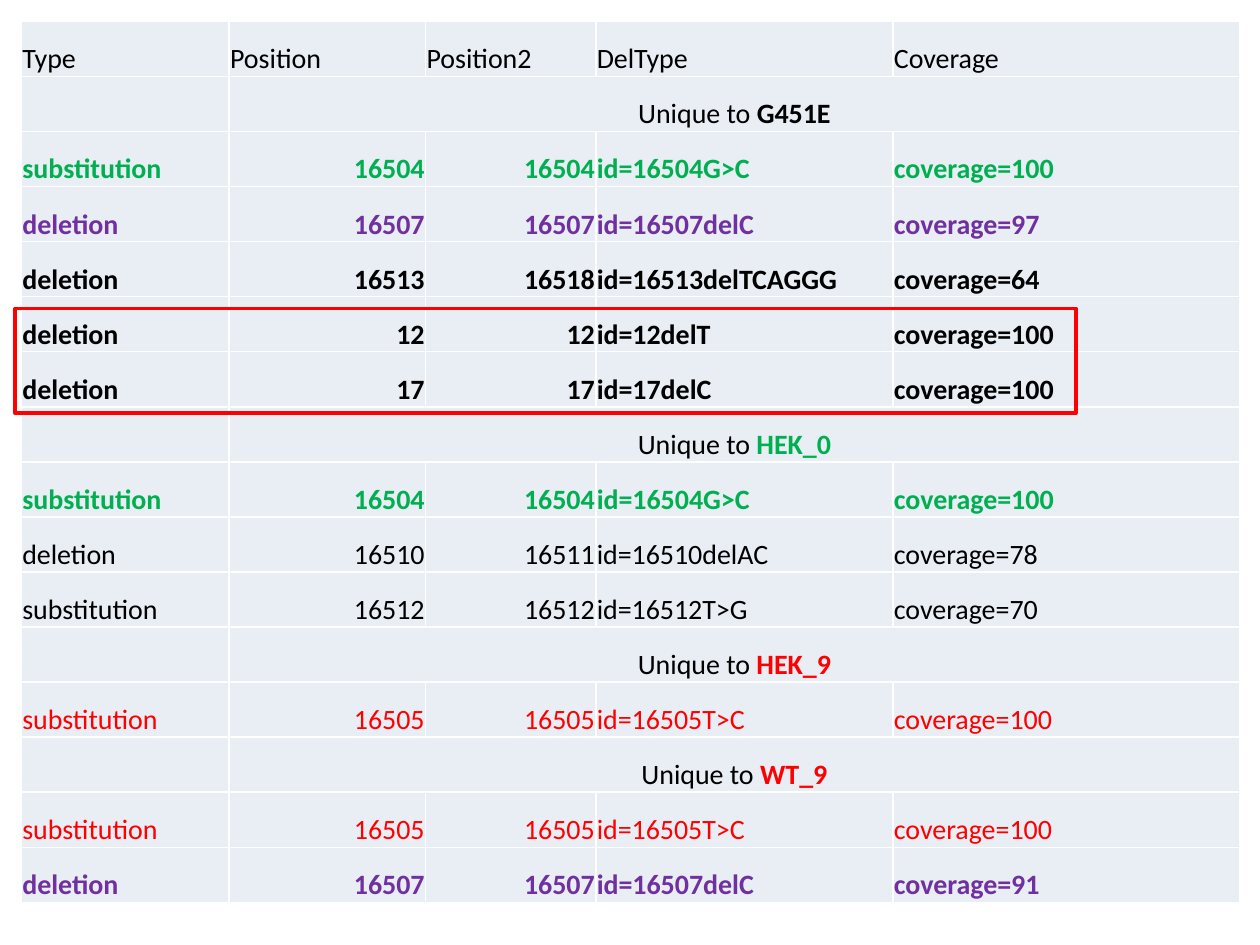
"""Build a slide with a table of unique sequence variants per sample."""
from pptx import Presentation
from pptx.dml.color import RGBColor
from pptx.enum.shapes import MSO_SHAPE
from pptx.enum.text import MSO_ANCHOR, PP_ALIGN
from pptx.util import Cm, Pt

BLACK = RGBColor(0x00, 0x00, 0x00)
GREEN = RGBColor(0x00, 0xB0, 0x50)
PURPLE = RGBColor(0x70, 0x30, 0xA0)
RED = RGBColor(0xFF, 0x00, 0x00)
PALE_BLUE = RGBColor(0xE9, 0xED, 0xF4)

HEADERS = ("Type", "Position", "Position2", "DelType", "Coverage")
COLUMN_WIDTHS = (4.19, 3.96, 3.43, 5.99, 6.99)
ROW_HEIGHT = 1.11
SAMPLES = [
    ("G451E", BLACK, [
        ("substitution", 16504, 16504, "16504G>C", 100, GREEN, True),
        ("deletion", 16507, 16507, "16507delC", 97, PURPLE, True),
        ("deletion", 16513, 16518, "16513delTCAGGG", 64, BLACK, True),
        ("deletion", 12, 12, "12delT", 100, BLACK, True),
        ("deletion", 17, 17, "17delC", 100, BLACK, True),
    ]),
    ("HEK_0", GREEN, [
        ("substitution", 16504, 16504, "16504G>C", 100, GREEN, True),
        ("deletion", 16510, 16511, "16510delAC", 78, BLACK, False),
        ("substitution", 16512, 16512, "16512T>G", 70, BLACK, False),
    ]),
    ("HEK_9", RED, [
        ("substitution", 16505, 16505, "16505T>C", 100, RED, False),
    ]),
    ("WT_9", RED, [
        ("substitution", 16505, 16505, "16505T>C", 100, RED, False),
        ("deletion", 16507, 16507, "16507delC", 91, PURPLE, True),
    ]),
]


def write_row(row, texts, color=BLACK, bold=False):
    for cell, text in zip(row.cells, texts):
        paragraph = cell.text_frame.paragraphs[0]
        paragraph.text = text
        paragraph.alignment = PP_ALIGN.RIGHT if text.isdigit() else PP_ALIGN.LEFT
        paragraph.font.bold = bold
        paragraph.font.color.rgb = color


presentation = Presentation()
presentation.slide_width, presentation.slide_height = Cm(25.4), Cm(19.05)
slide = presentation.slides.add_slide(presentation.slide_layouts[6])

row_count = 1 + sum(1 + len(variants) for _, _, variants in SAMPLES)
table = slide.shapes.add_table(
    row_count, len(HEADERS), Cm(0.43), Cm(0.43),
    Cm(sum(COLUMN_WIDTHS)), Cm(ROW_HEIGHT * row_count),
).table
table.first_row = table.horz_banding = False
for column, width in zip(table.columns, COLUMN_WIDTHS):
    column.width = Cm(width)
for row in table.rows:
    row.height = Cm(ROW_HEIGHT)

for cell in table.iter_cells():
    cell.fill.solid()
    cell.fill.fore_color.rgb = PALE_BLUE
    cell.vertical_anchor = MSO_ANCHOR.BOTTOM
    cell.margin_left = cell.margin_right = cell.margin_top = Cm(0.02)
    cell.margin_bottom = 0
    font = cell.text_frame.paragraphs[0].font
    font.name = "Calibri"
    font.size = Pt(16)

rows = iter(table.rows)
write_row(next(rows), HEADERS)
for sample, sample_color, variants in SAMPLES:
    title_cells = next(rows).cells
    title_cells[1].merge(title_cells[4])
    paragraph = title_cells[1].text_frame.paragraphs[0]
    paragraph.alignment = PP_ALIGN.CENTER
    for text, color, bold in (("Unique to ", BLACK, False), (sample, sample_color, True)):
        run = paragraph.add_run()
        run.text = text
        run.font.name = "Calibri"
        run.font.size = Pt(16)
        run.font.bold = bold
        run.font.color.rgb = color
    for kind, start, end, change, coverage, color, bold in variants:
        texts = (kind, str(start), str(end), f"id={change}", f"coverage={coverage}")
        write_row(next(rows), texts, color, bold)

highlight = slide.shapes.add_shape(
    MSO_SHAPE.RECTANGLE, Cm(0.3), Cm(6.22), Cm(21.39), Cm(2.11)
)
highlight.shadow.inherit = False
highlight.fill.background()
highlight.line.color.rgb = RED
highlight.line.width = Pt(2)

presentation.save("out.pptx")
